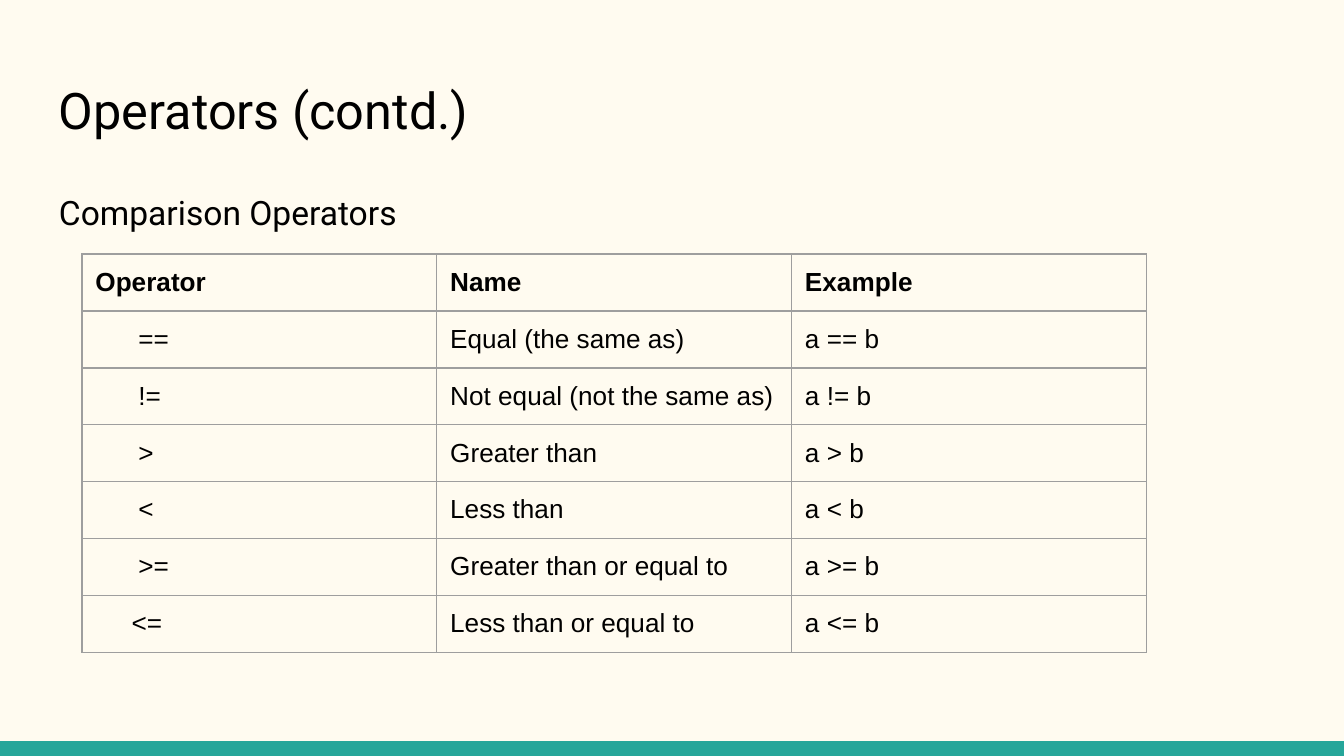
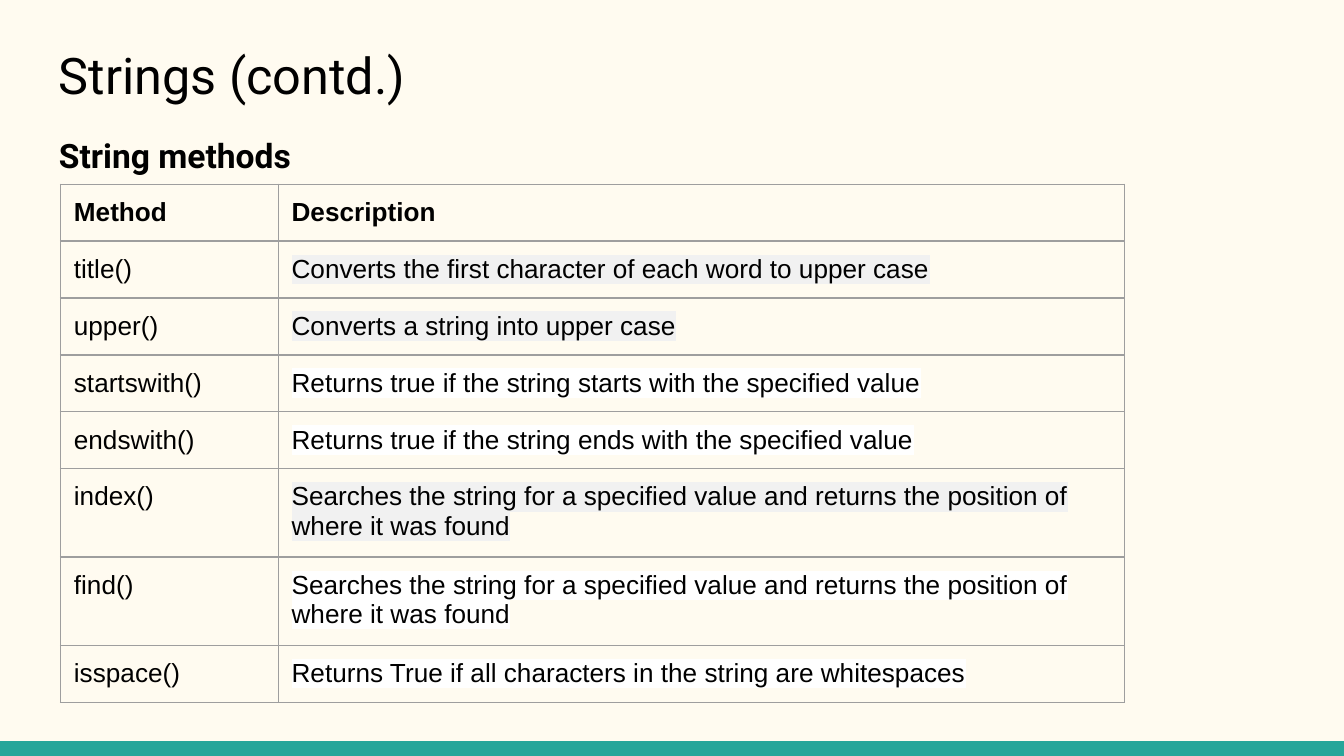
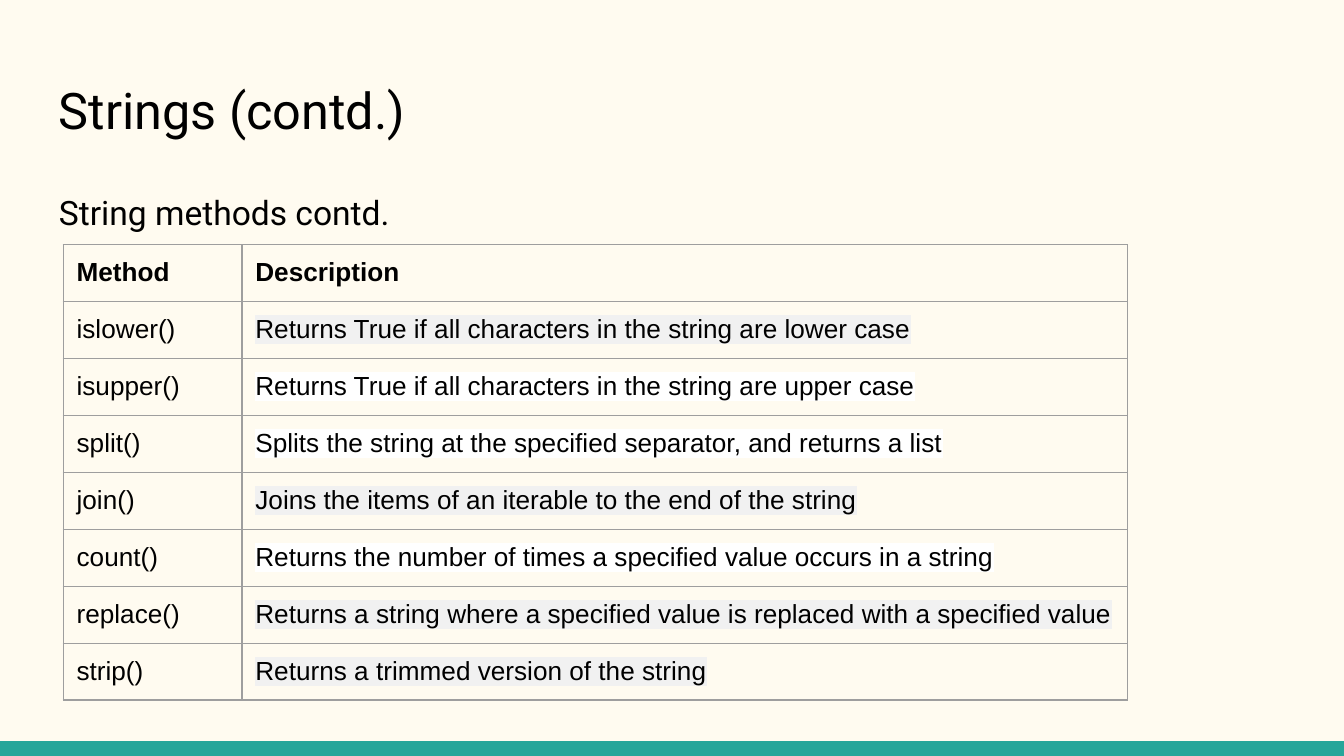
from dataclasses import dataclass

from lxml.etree import SubElement
from pptx import Presentation
from pptx.dml.color import RGBColor
from pptx.enum.shapes import MSO_SHAPE
from pptx.oxml import parse_xml
from pptx.oxml.ns import nsdecls, qn
from pptx.util import Inches, Pt


@dataclass(frozen=True)
class Theme:
    background: str = "FFFBF0"
    band: str = "26A69A"
    text: str = "000000"
    border: str = "9E9E9E"
    heading_font: str = "Roboto"
    table_font: str = "Arial"
    title_size: int = 27
    subtitle_size: int = 18
    cell_size: int = 14
    border_width: float = 0.75


THEME = Theme()
GREY, WHITE = "F1F1F1", "FFFFFF"

# Page geometry, in inches
PAGE_WIDTH = 10
PAGE_HEIGHT = PAGE_WIDTH * 9 / 16
BAND_HEIGHT = 0.11
TEXT_LEFT, TEXT_WIDTH = 0.34, 9.32
ROW_HEIGHT = 0.42
INSET = 0.1
CELL_BOTTOM_INSET = 0.09  # lets one line of text fit the row height

# Content: a cell is (text, format) where it has a format of its own
HIGH_PAGE = {"title_box": (0.23, 0.63), "body_box": (0.86, 3.74)}
LOW_PAGE = {"title_box": (0.49, 0.67), "body_box": (1.28, 3.72)}


def operator(text, indent=0.32):
    return text, {"indent": indent}


def marked(text, highlight):
    return text, {"highlight": highlight}


SLIDES = [
    {
        **LOW_PAGE,
        "title": "Operators (contd.)",
        "subtitle": "Comparison Operators",
        "table_at": (0.61, 1.89),
        "columns": [2.64, 2.64, 2.64],
        "rows": [
            ("Operator", "Name", "Example"),
            (operator("=="), "Equal (the same as)", "a == b"),
            (operator("!="), "Not equal (not the same as)", "a != b"),
            (operator(">"), "Greater than", "a > b"),
            (operator("<"), "Less than", "a < b"),
            (operator(">="), "Greater than or equal to", "a >= b"),
            (operator("<=", indent=0.27), "Less than or equal to", "a <= b"),
        ],
    },
    {
        **HIGH_PAGE,
        "title": "Strings (contd.)",
        "subtitle": "String methods",
        "subtitle_bold": True,
        "table_at": (0.45, 1.37),
        "columns": [1.62, 6.3],
        "rows": [
            ("Method", "Description"),
            ("title()", marked("Converts the first character of each word to upper case", GREY)),
            ("upper()", marked("Converts a string into upper case", GREY)),
            ("startswith()", marked("Returns true if the string starts with the specified value", WHITE)),
            ("endswith()", marked("Returns true if the string ends with the specified value", WHITE)),
            ("index()", marked("Searches the string for a specified value and returns "
                               "the position of where it was found", GREY)),
            ("find()", marked("Searches the string for a specified value and returns "
                              "the position of where it was found", WHITE)),
            ("isspace()", marked("Returns True if all characters in the string are whitespaces", WHITE)),
        ],
    },
    {
        **LOW_PAGE,
        "title": "Strings (contd.)",
        "subtitle": "String methods contd.",
        "table_at": (0.47, 1.82),
        "columns": [1.33, 6.59],
        "rows": [
            ("Method", "Description"),
            ("islower()", marked("Returns True if all characters in the string are lower case", GREY)),
            ("isupper()", marked("Returns True if all characters in the string are upper case", WHITE)),
            ("split()", marked("Splits the string at the specified separator, and returns a list", WHITE)),
            ("join()", marked("Joins the items of an iterable to the end of the string", GREY)),
            ("count()", marked("Returns the number of times a specified value occurs in a string", WHITE)),
            ("replace()", marked("Returns a string where a specified value is replaced "
                                 "with a specified value", GREY)),
            ("strip()", marked("Returns a trimmed version of the string", GREY)),
        ],
    },
]


def write_text(text_frame, text, *, font, size, bold=False, indent=0,
               highlight=None, line_spacing=None, space_after=None):
    text_frame.word_wrap = True
    paragraph = text_frame.paragraphs[0]
    if indent:
        paragraph._p.get_or_add_pPr().set("marL", str(Inches(indent)))
    if line_spacing:
        paragraph.line_spacing = line_spacing
    if space_after:
        paragraph.space_after = Pt(space_after)
    run = paragraph.add_run()
    run.text = text
    run.font.name = font
    run.font.size = Pt(size)
    run.font.bold = bold
    run.font.color.rgb = RGBColor.from_string(THEME.text)
    if highlight:
        mark = parse_xml(f'<a:highlight {nsdecls("a")}><a:srgbClr val="{highlight}"/></a:highlight>')
        run.font._element.find(qn("a:solidFill")).addnext(mark)


def set_insets(target, bottom=INSET):
    target.margin_left = target.margin_right = target.margin_top = Inches(INSET)
    target.margin_bottom = Inches(bottom)


def add_text_box(slide, box, text, **text_format):
    top, height = box
    shape = slide.shapes.add_textbox(Inches(TEXT_LEFT), Inches(top),
                                     Inches(TEXT_WIDTH), Inches(height))
    set_insets(shape.text_frame)
    write_text(shape.text_frame, text, font=THEME.heading_font, **text_format)


def add_band(slide):
    band = slide.shapes.add_shape(MSO_SHAPE.RECTANGLE, 0, Inches(PAGE_HEIGHT - BAND_HEIGHT),
                                  Inches(PAGE_WIDTH), Inches(BAND_HEIGHT))
    band.shadow.inherit = False
    band.fill.solid()
    band.fill.fore_color.rgb = RGBColor.from_string(THEME.band)
    band.line.fill.background()


def style_cell(cell):
    set_insets(cell, bottom=CELL_BOTTOM_INSET)
    properties = cell._tc.get_or_add_tcPr()
    for side in ("lnL", "lnR", "lnT", "lnB"):
        line = SubElement(properties, qn(f"a:{side}"), w=str(Pt(THEME.border_width)))
        fill = SubElement(line, qn("a:solidFill"))
        SubElement(fill, qn("a:srgbClr"), val=THEME.border)
    cell.fill.background()


def add_grid(slide, position, columns, rows):
    left, top = position
    frame = slide.shapes.add_table(len(rows), len(columns), Inches(left), Inches(top),
                                   Inches(sum(columns)), Inches(ROW_HEIGHT * len(rows)))
    table = frame.table
    table.first_row = table.horz_banding = False
    for column, width in zip(table.columns, columns):
        column.width = Inches(width)
    for row_index, row in enumerate(rows):
        table.rows[row_index].height = Inches(ROW_HEIGHT)
        for column_index, content in enumerate(row):
            text, text_format = (content, {}) if isinstance(content, str) else content
            cell = table.cell(row_index, column_index)
            style_cell(cell)
            write_text(cell.text_frame, text, font=THEME.table_font,
                       size=THEME.cell_size, bold=row_index == 0, **text_format)


def main():
    presentation = Presentation()
    presentation.slide_width = Inches(PAGE_WIDTH)
    presentation.slide_height = Inches(PAGE_HEIGHT)

    # Shared background
    background = presentation.slide_master.background.fill
    background.solid()
    background.fore_color.rgb = RGBColor.from_string(THEME.background)

    for content in SLIDES:
        slide = presentation.slides.add_slide(presentation.slide_layouts[6])
        add_band(slide)
        add_text_box(slide, content["title_box"], content["title"], size=THEME.title_size)
        add_text_box(slide, content["body_box"], content["subtitle"],
                     size=THEME.subtitle_size, bold=content.get("subtitle_bold", False),
                     line_spacing=1.15, space_after=12)
        add_grid(slide, content["table_at"], content["columns"], content["rows"])

    presentation.save("out.pptx")


if __name__ == "__main__":
    main()
